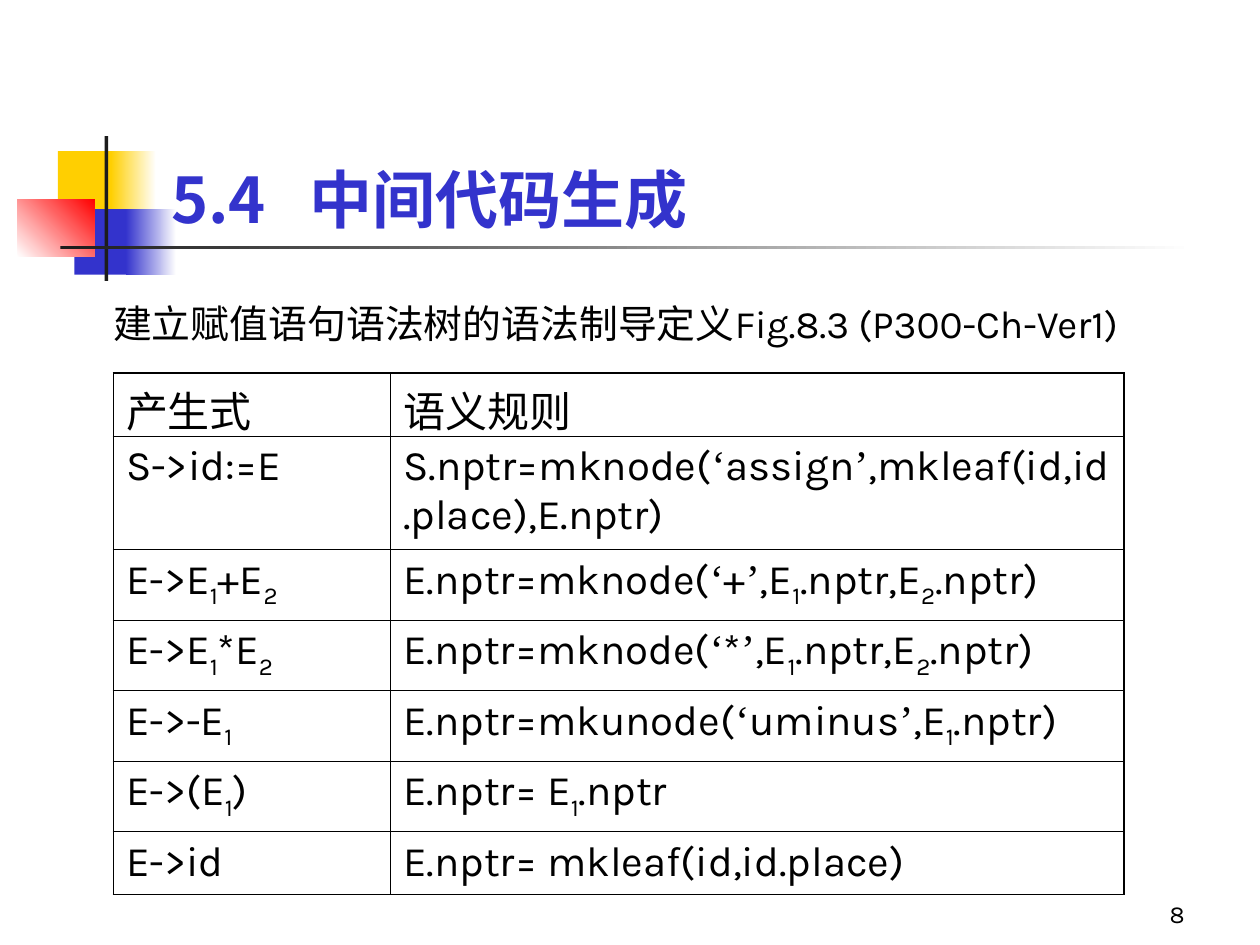
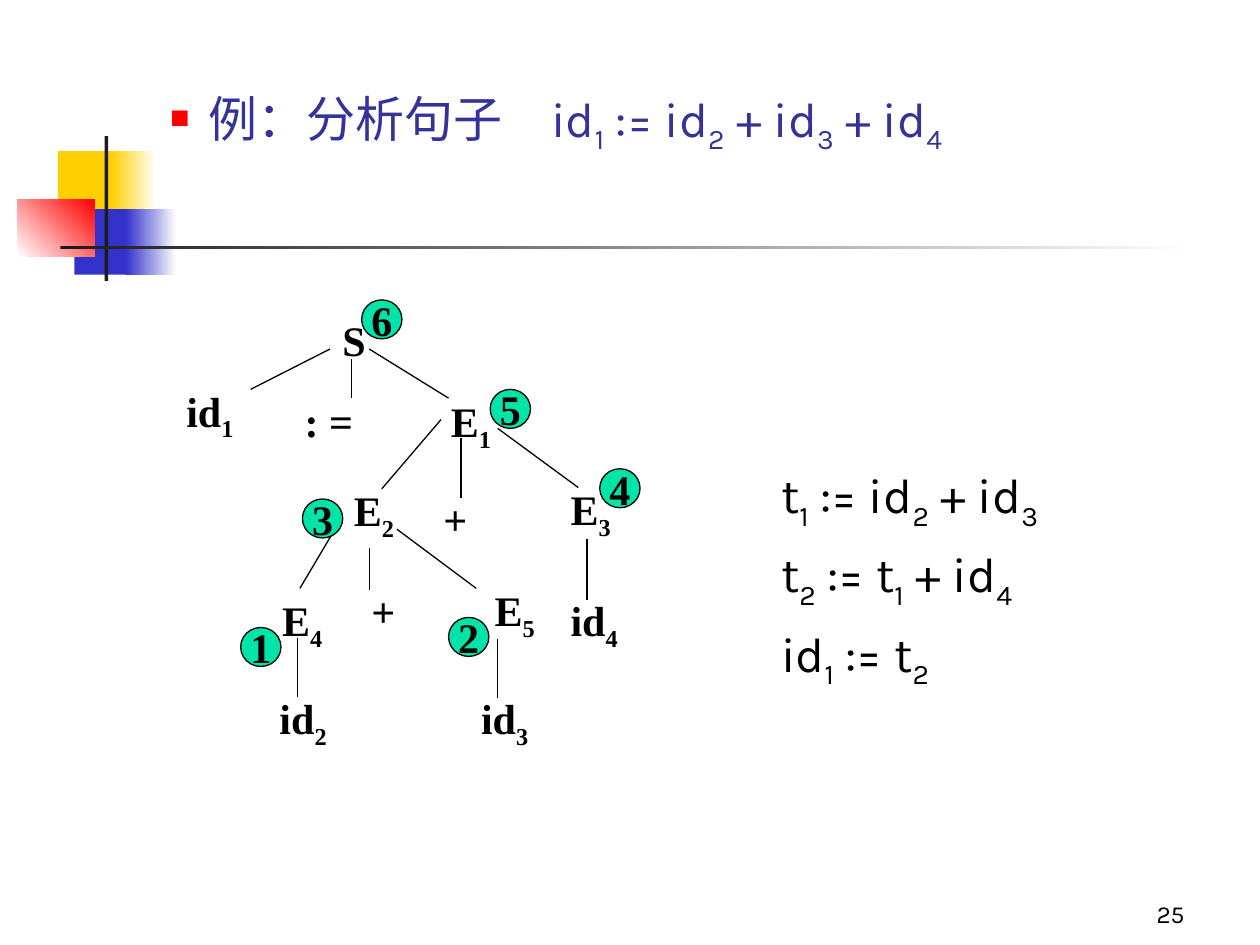
import itertools

import pptx
import pptx.dml.color
import pptx.enum.shapes
import pptx.enum.text
import pptx.oxml
import pptx.oxml.ns
import pptx.util

Inches = pptx.util.Inches
Pt = pptx.util.Pt
SHAPE = pptx.enum.shapes.MSO_SHAPE
ALIGN = pptx.enum.text.PP_ALIGN
ANCHOR = pptx.enum.text.MSO_ANCHOR

SANS, SERIF, CJK = "Karla", "Times New Roman", "Noto Sans CJK SC"
BLACK, WHITE, BLUE = "000000", "FFFFFF", "3333CC"
YELLOW, RED, DARK, GREEN = "FFCF01", "FF0000", "1C1C1C", "00E4A8"

TITLE = dict(size=Pt(36), name=CJK, color=BLUE, bold=True)
NUMBER = dict(size=Pt(14), name=SANS, color=BLACK)
LEAD = dict(size=Pt(22.2), name=SANS, color=BLACK)
CELL = dict(size=Pt(24), name=SANS, color=BLACK)
EXAMPLE = dict(size=Pt(28), name=SANS, color="333399")
CODE = dict(size=Pt(28), name=SANS, color=BLACK)
NODE = dict(size=Pt(24), name=SERIF, color=BLACK, bold=True)

# left, top, width, height, fill colours, gradient angle
BAND = [
    (0.46, 1.2, 0.48, 0.52, [YELLOW], 0),
    (0.88, 1.2, 0.36, 0.52, [YELLOW, WHITE], 0),
    (0.59, 1.66, 0.46, 0.52, [BLUE], 0),
    (1, 1.66, 0.4, 0.52, [BLUE, WHITE], 0),
    (0.14, 1.58, 0.61, 0.46, [WHITE, RED], 45),
    (0.83, 1.08, 0.03, 1.15, [DARK], 0),
    (0.48, 1.95, 9, 0.03, [DARK, WHITE], 0),
]

RULES = [
    ("产生式", "语义规则"),
    ("S->id:=E", "S.nptr=mknode(‘assign’,mkleaf(id,id.place),E.nptr)"),
    ("E->E_1+E_2", "E.nptr=mknode(‘+’,E_1.nptr,E_2.nptr)"),
    ("E->E_1*E_2", "E.nptr=mknode(‘*’,E_1.nptr,E_2.nptr)"),
    ("E->-E_1", "E.nptr=mkunode(‘uminus’,E_1.nptr)"),
    ("E->(E_1)", "E.nptr= E_1.nptr"),
    ("E->id", "E.nptr= mkleaf(id,id.place)"),
]

# text, left, top, width, height
TREE_NODES = [
    ("S", 2.62, 2.45, 0.33, 0.5),
    ("id_1", 1.38, 3.01, 0.71, 0.56),
    (": =", 2.32, 3.09, 0.86, 0.5),
    ("E_1", 3.48, 3.09, 0.55, 0.56),
    ("E_2", 2.71, 3.8, 0.55, 0.56),
    ("+", 3.42, 3.87, 0.41, 0.5),
    ("E_3", 4.43, 3.79, 0.73, 0.56),
    ("E_4", 2.14, 4.67, 0.73, 0.56),
    ("+", 2.85, 4.6, 0.47, 0.5),
    ("E_5", 3.72, 4.59, 0.73, 0.56),
    ("id_4", 4.43, 4.67, 0.97, 0.56),
    ("id_2", 2.12, 5.45, 0.97, 0.56),
    ("id_3", 3.72, 5.45, 0.96, 0.56),
]

# x and y of both ends
TREE_EDGES = [
    (2.62, 2.77, 1.99, 3.09), (2.79, 2.85, 2.79, 3.16), (2.93, 2.77, 3.56, 3.16),
    (3.5, 3.33, 3.03, 3.88), (3.66, 3.48, 3.66, 3.95), (3.95, 3.4, 4.59, 3.87),
    (2.7, 4.13, 2.38, 4.67), (2.93, 4.35, 2.93, 4.68), (3.15, 4.2, 3.78, 4.67),
    (4.66, 4.28, 4.66, 4.76), (2.36, 5.06, 2.36, 5.53), (3.95, 5.07, 3.95, 5.54),
]

# left and top of the evaluation steps 1 to 6
STEPS = [(1.91, 4.98), (3.56, 4.9), (2.4, 3.96), (4.76, 3.72), (3.89, 3.09), (2.87, 2.38)]


def rgb(value):
    return pptx.dml.color.RGBColor.from_string(value)


def add_xml(parent, xml):
    ns = pptx.oxml.ns.nsdecls("a")
    tag, rest = xml[1:].split(" ", 1)
    parent.append(pptx.oxml.parse_xml(f"<{tag} {ns} {rest}"))


def split_scripts(text):
    """Yield (text, is_subscript); an underscore lowers the next character."""
    head, *rest = text.split("_")
    yield head, False
    for part in rest:
        yield part[0], True
        if part[1:]:
            yield part[1:], False


class Deck:
    def __init__(self):
        self.prs = pptx.Presentation()
        self.prs.slide_width, self.prs.slide_height = Inches(10), Inches(7.5)
        self.s = None

    def new_slide(self, number):
        self.s = self.prs.slides.add_slide(self.prs.slide_layouts[6])
        for *box, colors, angle in BAND:
            self.shape(SHAPE.RECTANGLE, box, colors, angle)
        self.text((7.42, 6.92, 2.08, 0.5), [str(number)], NUMBER,
                  anchor=ANCHOR.BOTTOM, alignment=ALIGN.RIGHT)

    def shape(self, kind, box, colors, angle=0, line=None):
        sp = self.s.shapes.add_shape(kind, *map(Inches, box))
        sp.shadow.inherit = False
        if len(colors) == 1:
            sp.fill.solid()
            sp.fill.fore_color.rgb = rgb(colors[0])
        else:
            sp.fill.gradient()
            sp.fill.gradient_angle = angle
            for stop, color in zip(sp.fill.gradient_stops, colors):
                stop.color.rgb = rgb(color)
        if line:
            sp.line.color.rgb = rgb(line)
            sp.line.width = Pt(0.75)
        else:
            sp.line.fill.background()
        return sp

    def runs(self, p, text, style):
        """Fill a paragraph; curly quotes are set in the serif face."""
        for part, lowered in split_scripts(text):
            for quote, chars in itertools.groupby(part, lambda c: c in "‘’"):
                r = p.add_run()
                r.text = "".join(chars)
                for key, value in style.items():
                    if key == "color":
                        r.font.color.rgb = rgb(value)
                    else:
                        setattr(r.font, key, value)
                if quote:
                    r.font.name = SERIF
                rPr = r._r.get_or_add_rPr()
                add_xml(rPr, f'<a:ea typeface="{CJK}"/>')
                if lowered:
                    rPr.set("baseline", "-25000")

    def text(self, box, lines, style, anchor=ANCHOR.TOP, indent=None,
             bullet=None, tab=None, gap=0, **paragraph):
        """Add a text box; indent is (left margin, first line offset)."""
        sp = self.s.shapes.add_textbox(*map(Inches, box))
        tf = sp.text_frame
        tf.word_wrap = True
        tf.vertical_anchor = anchor
        for i, line in enumerate(lines):
            p = tf.add_paragraph() if i else tf.paragraphs[0]
            pPr = p._p.get_or_add_pPr()
            if indent:
                pPr.set("marL", str(Inches(indent[0])))
                pPr.set("indent", str(Inches(indent[1])))
            if bullet:
                add_xml(pPr, f'<a:buClr ><a:srgbClr val="{RED}"/></a:buClr>')
                add_xml(pPr, '<a:buSzPct val="55000"/>')
                add_xml(pPr, f'<a:buChar char="{bullet}"/>')
            if tab:
                add_xml(pPr, f'<a:tabLst ><a:tab pos="{Inches(tab)}" algn="l"/></a:tabLst>')
            if i and gap:
                p.space_before = Pt(gap)
            for key, value in paragraph.items():
                setattr(p, key, value)
            self.runs(p, line, style)

    def line(self, x1, y1, x2, y2):
        c = self.s.shapes.add_connector(pptx.enum.shapes.MSO_CONNECTOR.STRAIGHT,
                                        *map(Inches, (x1, y1, x2, y2)))
        c.line.color.rgb = rgb(BLACK)
        c.line.width = Pt(0.75)
        add_xml(c._element.spPr, "<a:effectLst />")

    def step(self, number, left, top):
        sp = self.shape(SHAPE.OVAL, (left, top, 0.32, 0.31), [GREEN], line=BLACK)
        tf = sp.text_frame
        tf.word_wrap = False
        tf.vertical_anchor = ANCHOR.MIDDLE
        p = tf.paragraphs[0]
        p.alignment = ALIGN.CENTER
        self.runs(p, str(number), NODE)

    def table(self, box, widths, heights, rows):
        """Add a plain grid with a heavier outer frame."""
        tbl = self.s.shapes.add_table(len(rows), len(widths), *map(Inches, box)).table
        tbl.first_row = tbl.horz_banding = False
        for column, width in zip(tbl.columns, widths):
            column.width = Inches(width)
        for row, height in zip(tbl.rows, heights):
            row.height = Inches(height)
        for i, texts in enumerate(rows):
            for j, text in enumerate(texts):
                cell = tbl.cell(i, j)
                outer = dict(L=j == 0, R=j == len(widths) - 1,
                             T=i == 0, B=i == len(rows) - 1)
                for side, heavy in outer.items():
                    width = Pt(1.08 if heavy else 0.45)
                    add_xml(cell._tc.get_or_add_tcPr(),
                            f'<a:ln{side} w="{width}"><a:solidFill>'
                            f'<a:srgbClr val="{BLACK}"/></a:solidFill></a:ln{side}>')
                cell.fill.background()
                self.runs(cell.text_frame.paragraphs[0], text, CELL)


def rules_slide(deck):
    deck.new_slide(8)
    deck.text((1.26, 0.67, 8.52, 1.25), ["5.4\t中间代码生成"], TITLE,
              anchor=ANCHOR.BOTTOM, tab=1.1)
    deck.text((-0.2, 2.33, 10, 0.55),
              ["建立赋值语句语法树的语法制导定义Fig.8.3 (P300-Ch-Ver1)"],
              LEAD, indent=(1.25, -0.25))
    deck.table((0.9, 2.96, 8.02, 3.95), (2.2, 5.82),
               (0.5, 0.9, 0.56, 0.56, 0.56, 0.56, 0.5), RULES)


def tree_slide(deck):
    deck.new_slide(25)
    deck.text((0.75, 0.6, 8.9, 0.71), ["例：分析句子　id_1 := id_2 + id_3 + id_4"],
              EXAMPLE, indent=(0.81, -0.31), bullet="■", line_spacing=1.1)
    for text, *box in TREE_NODES:
        deck.text(box, [text], NODE,
                  alignment=ALIGN.CENTER if text == "E_5" else ALIGN.LEFT)
    for edge in TREE_EDGES:
        deck.line(*edge)
    for number, place in enumerate(STEPS, 1):
        deck.step(number, *place)
    deck.text((6.1, 3.64, 3.05, 2.23),
              ["t_1 := id_2 + id_3", "t_2 := t_1 + id_4", "id_1 := t_2"],
              CODE, indent=(0.38, -0.38), gap=7)


def main():
    deck = Deck()
    rules_slide(deck)
    tree_slide(deck)
    deck.prs.save("out.pptx")


if __name__ == "__main__":
    main()
